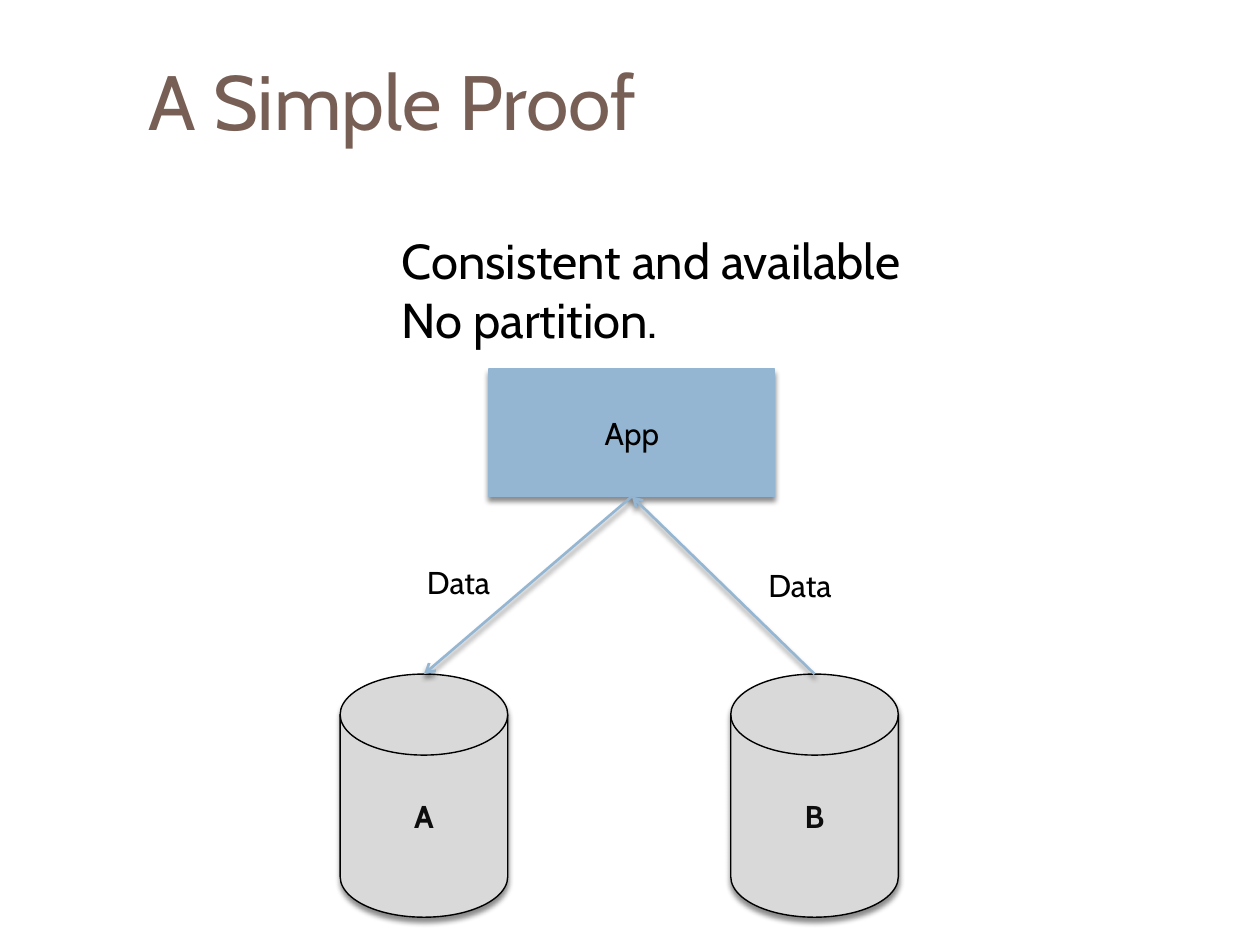
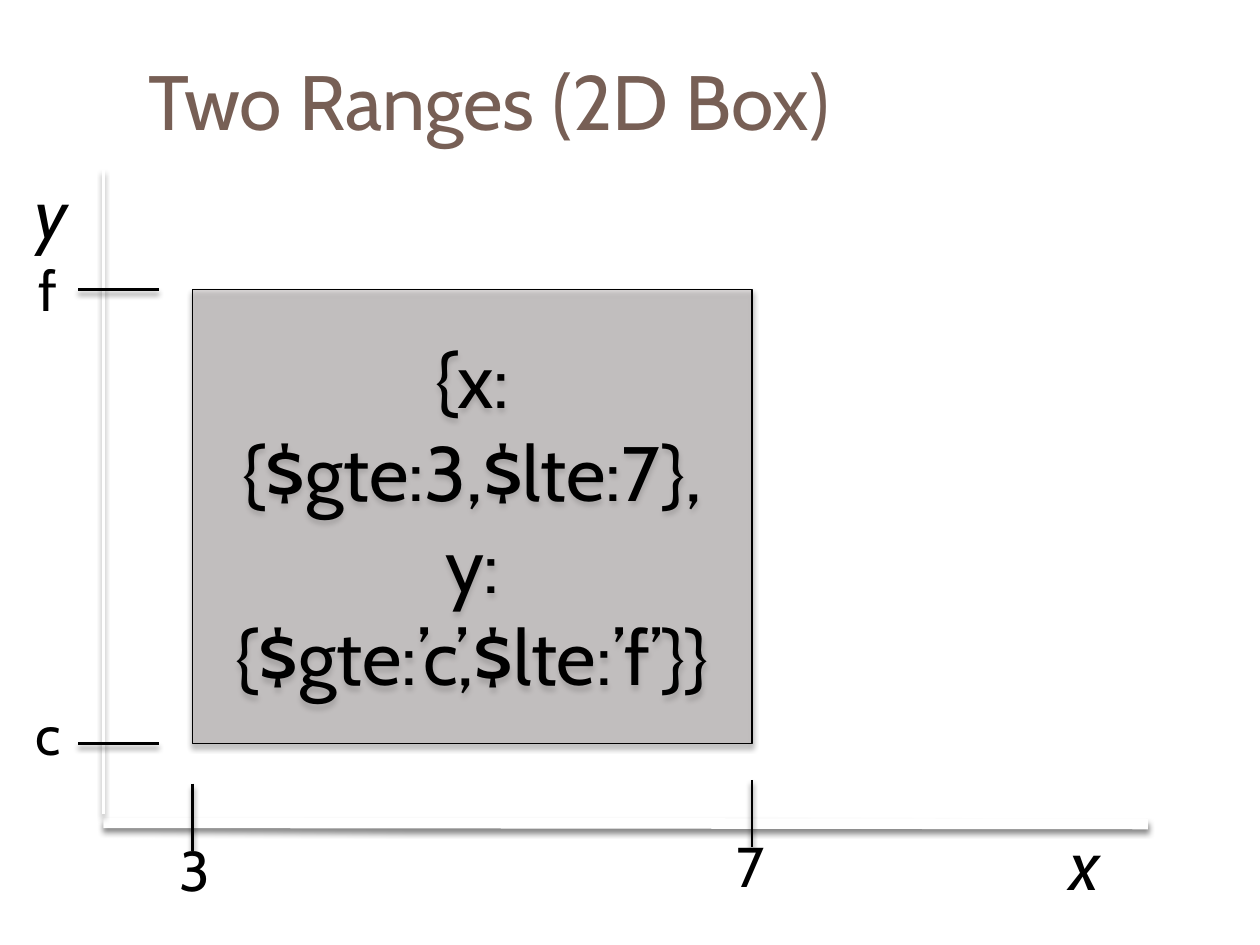
"""Build two slides: a replication proof diagram and a two-range query box."""
import pptx
import pptx.dml.color
import pptx.enum.shapes
import pptx.enum.text
import pptx.oxml
import pptx.oxml.ns
import pptx.util
from dataclasses import dataclass

Inches, Pt = pptx.util.Inches, pptx.util.Pt
SHAPE = pptx.enum.shapes.MSO_SHAPE
ALIGN = pptx.enum.text.PP_ALIGN
MIDDLE = pptx.enum.text.MSO_ANCHOR.MIDDLE


@dataclass(frozen=True)
class Theme:
    font: str = "Cabin"
    title: str = "775F55"
    black: str = "000000"
    white: str = "FFFFFF"
    blue: str = "94B6D2"
    disk: str = "D9D9D9"
    disk_text: str = "0D0D0D"
    box: str = "C0BABA"
    title_size: int = 44
    axis_size: int = 40
    tick_size: int = 32
    note_size: int = 28
    label_size: int = 18
    outline: float = 0.79
    stroke: float = 1.5
    thick: float = 6


T = Theme()

TITLE_AT = (1.08, 0.25, 8.92, 1.08)
PROOF_TITLE = "A Simple Proof"
PROOF_NOTE = ["Consistent and available", "No partition."]
NOTE_AT = (3.09, 1.78, 4.55, 1.04)
APP_AT = (3.88, 2.93, 2.27, 1.01)
DISK_TOP, DISK_W, DISK_H = 5.35, 1.33, 1.93
DISKS = [
    {"name": "A", "left": 2.7, "label": (3.29, 4.42), "receives": True},
    {"name": "B", "left": 5.8, "label": (6, 4.44), "receives": False},
]

RANGE_TITLE = "Two Ranges (2D Box)"
QUERY = ["{x:", "{$gte:3,$lte:7},", "y:", "{$gte:’c’,$lte:’f’}}"]
BOX_AT = (1.53, 2.3, 4.44, 3.6)
AXES = [
    ("x", (8.39, 6.46, 0.58, 0.77), (0.82, 6.53), (9.11, 6.54), T.thick),
    ("y", (0.18, 1.3, 0.59, 0.77), (0.82, 6.46), (0.82, 1.35), T.stroke),
]
X_TICKS = [("3", (1.33, 6.58, 0.43, 0.64), 6.22), ("7", (5.75, 6.55, 0.43, 0.64), 6.19)]
Y_TICKS = [("f", (0.21, 1.98, 0.34, 0.64)), ("c", (0.18, 5.5, 0.39, 0.64))]
X_TICK_LENGTH = 0.53
Y_TICK_SPAN = (0.62, 1.26)


def rgb(color):
    return pptx.dml.color.RGBColor.from_string(color)


def xml(tag, attrs="", inner=""):
    ns = pptx.oxml.ns.nsdecls("a")
    return pptx.oxml.parse_xml(f"<a:{tag} {ns} {attrs}>{inner}</a:{tag}>")


def add_shadow(sp):
    color = f'<a:srgbClr val="{T.black}"><a:alpha val="45000"/></a:srgbClr>'
    shadow = ('<a:outerShdw blurRad="38100" dist="30480" dir="5400000" '
              f'rotWithShape="0">{color}</a:outerShdw>')
    sp._element.spPr.append(xml("effectLst", inner=shadow))


def write(tf, lines, size, color=T.black, align=ALIGN.LEFT, bold=False, italic=False):
    tf.text = "\n".join(lines)
    for p in tf.paragraphs:
        p.alignment = align
        for r in p.runs:
            r.font.name, r.font.size = T.font, Pt(size)
            r.font.bold, r.font.italic = bold, italic
            r.font.color.rgb = rgb(color)


def add_label(s, lines, at, size, **style):
    tf = s.shapes.add_textbox(*map(Inches, at)).text_frame
    tf.word_wrap = False
    tf.auto_size = pptx.enum.text.MSO_AUTO_SIZE.SHAPE_TO_FIT_TEXT
    write(tf, lines, size, **style)


def add_box(s, kind, at, fill, line, lines, size, alpha=None, **style):
    sp = s.shapes.add_shape(kind, *map(Inches, at))
    sp.fill.solid()
    sp.fill.fore_color.rgb = rgb(fill)
    if alpha:
        clr = sp._element.spPr.find(".//" + pptx.oxml.ns.qn("a:srgbClr"))
        clr.append(xml("alpha", f'val="{alpha * 1000}"'))
    sp.line.color.rgb = rgb(line)
    sp.line.width = Pt(T.outline)
    add_shadow(sp)
    sp.text_frame.vertical_anchor = MIDDLE
    write(sp.text_frame, lines, size, align=ALIGN.CENTER, **style)


def add_line(s, start, end, color, width=T.stroke, arrow=False):
    straight = pptx.enum.shapes.MSO_CONNECTOR.STRAIGHT
    cxn = s.shapes.add_connector(straight, *map(Inches, (*start, *end)))
    cxn.line.color.rgb = rgb(color)
    cxn.line.width = Pt(width)
    if arrow:
        cxn.line._get_or_add_ln().append(xml("tailEnd", 'type="arrow"'))
    add_shadow(cxn)


def add_slide(prs, title):
    s = prs.slides.add_slide(prs.slide_layouts[5])
    sp = s.shapes.title
    sp.left, sp.top, sp.width, sp.height = map(Inches, TITLE_AT)
    sp.text_frame.vertical_anchor = MIDDLE
    write(sp.text_frame, [title], T.title_size, T.title)
    return s


def build_proof(prs):
    s = add_slide(prs, PROOF_TITLE)
    left, top, width, height = APP_AT
    app_foot = (left + width / 2, top + height)
    for disk in DISKS:
        at = (disk["left"], DISK_TOP, DISK_W, DISK_H)
        add_box(s, SHAPE.FLOWCHART_MAGNETIC_DISK, at, T.disk, T.black,
                [disk["name"]], T.label_size, color=T.disk_text, bold=True)
    add_box(s, SHAPE.RECTANGLE, APP_AT, T.blue, T.blue, ["App"], T.label_size)
    for disk in DISKS:
        disk_head = (disk["left"] + DISK_W / 2, DISK_TOP)
        ends = (app_foot, disk_head) if disk["receives"] else (disk_head, app_foot)
        add_line(s, *ends, T.blue, arrow=True)
        add_label(s, ["Data"], (*disk["label"], 0.73, 0.4), T.label_size)
    add_label(s, PROOF_NOTE, NOTE_AT, T.note_size)


def build_ranges(prs):
    s = add_slide(prs, RANGE_TITLE)
    left, top, width, height = BOX_AT
    for name, at, start, end, weight in AXES:
        add_line(s, start, end, T.white, weight)
        add_label(s, [name], at, T.axis_size, italic=True)
    for (name, at, y), x in zip(X_TICKS, (left, left + width)):
        add_label(s, [name], at, T.tick_size)
        add_line(s, (x, y), (x, y + X_TICK_LENGTH), T.black)
    for (name, at), y in zip(Y_TICKS, (top, top + height)):
        add_label(s, [name], at, T.tick_size)
        add_line(s, (Y_TICK_SPAN[0], y), (Y_TICK_SPAN[1], y), T.black)
    add_box(s, SHAPE.RECTANGLE, BOX_AT, T.box, T.black, QUERY, T.title_size, alpha=50)


def main():
    prs = pptx.Presentation()
    prs.slide_width, prs.slide_height = Inches(10), Inches(7.5)
    build_proof(prs)
    build_ranges(prs)
    prs.save("out.pptx")


if __name__ == "__main__":
    main()
